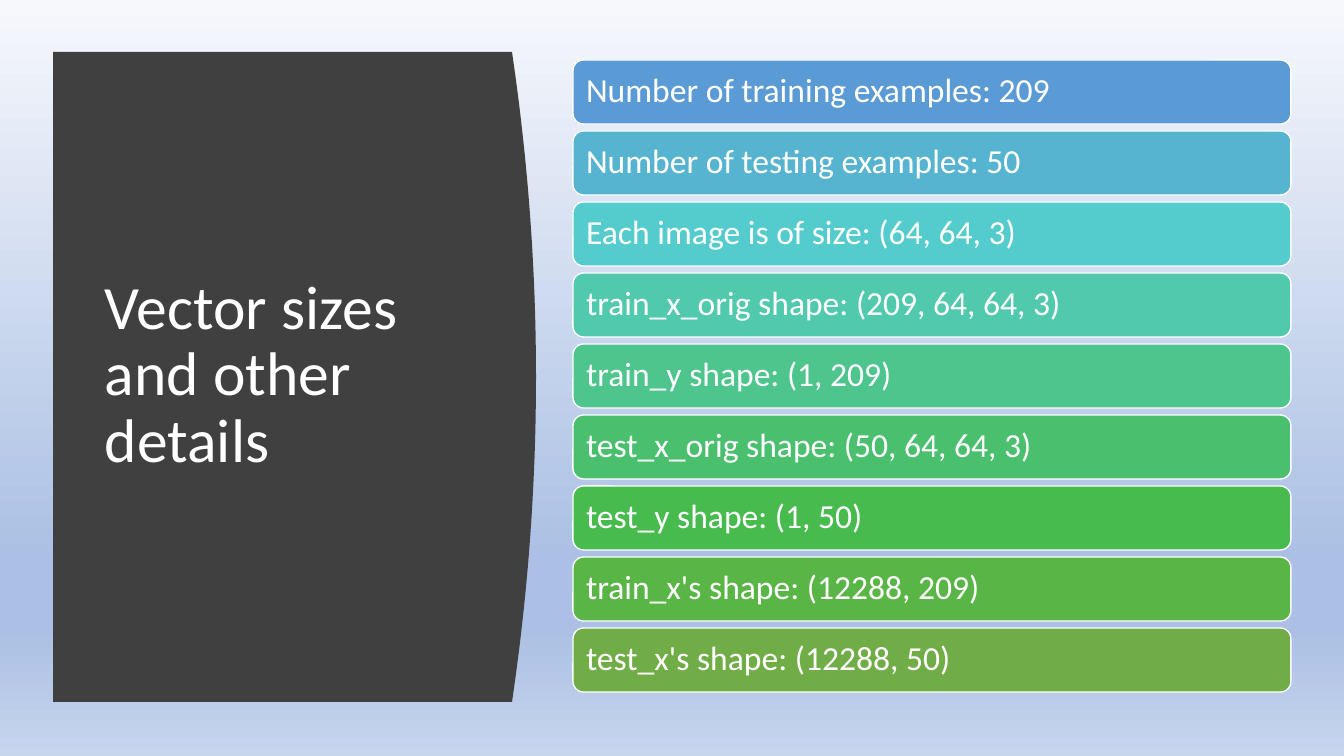
from lxml import etree
from pptx import Presentation
from pptx.dml.color import RGBColor
from pptx.enum.shapes import MSO_SHAPE
from pptx.enum.text import MSO_ANCHOR, PP_ALIGN
from pptx.oxml.ns import qn
from pptx.util import Pt

ROUND = MSO_SHAPE.ROUNDED_RECTANGLE
MIDDLE = MSO_ANCHOR.MIDDLE
LEFT = PP_ALIGN.LEFT

TITLE = "Vector sizes and other details"
ROWS = [
    ("Number of training examples: 209", "5B9BD5"),
    ("Number of testing examples: 50", "57B4D1"),
    ("Each image is of size: (64, 64, 3)", "54CCCD"),
    ("train_x_orig shape: (209, 64, 64, 3)", "51C9AD"),
    ("train_y shape: (1, 209)", "4DC58D"),
    ("test_x_orig shape: (50, 64, 64, 3)", "4AC06E"),
    ("test_y shape: (1, 50)", "48BB4F"),
    ("train_x's shape: (12288, 209)", "59B546"),
    ("test_x's shape: (12288, 50)", "70AD47"),
]
THEME = {
    "font": "Calibri",
    "title": 44,
    "row": 24,
    "text": "FFFFFF",
    "panel": "404040",
    "back": [(0, "F6F8FC"), (74, "ABC0E4"), (83, "ABC0E4"), (100, "C7D5ED")],
}
SCALE = 914400 / 100.8
PANEL = {"left": 53, "top": 52, "right": 512, "low": 702, "bulge": 24, "steps": 48}
TEXT = (95, 112, 377, 528)
LIST = {"left": 573, "top": 60, "wide": 718, "high": 64, "pitch": 71}


def px(n):
    return round(n * SCALE)


def color(name):
    return RGBColor.from_string(name)


def write(shape, text, size, side, edge):
    frame = shape.text_frame
    frame.word_wrap = True
    frame.vertical_anchor = MIDDLE
    frame.margin_left = frame.margin_right = px(side)
    frame.margin_top = frame.margin_bottom = px(edge)
    para = frame.paragraphs[0]
    para.text = text
    para.alignment = LEFT
    para.line_spacing = 0.9
    para.font.name = THEME["font"]
    para.font.size = Pt(size)
    para.font.color.rgb = color(THEME["text"])


def paint(shape, fill):
    shape.shadow.inherit = False
    shape.fill.solid()
    shape.fill.fore_color.rgb = color(fill)


def back(slide):
    fill = slide.background.fill
    fill.gradient()
    fill.gradient_angle = 270
    stops = next(slide.element.iter(qn("a:gsLst")))
    for stop in list(stops):
        stops.remove(stop)
    for pos, tone in THEME["back"]:
        stop = etree.SubElement(stops, qn("a:gs"), pos=str(pos * 1000))
        etree.SubElement(stop, qn("a:srgbClr"), val=tone)


def panel(slide):
    p = PANEL
    half = (p["low"] - p["top"]) / 2
    curve = []
    for i in range(p["steps"] + 1):
        t = 2 * i / p["steps"] - 1
        x = p["right"] + p["bulge"] * (1 - t * t)
        curve.append((px(x), px(p["top"] + half * (1 + t))))
    path = slide.shapes.build_freeform(px(p["left"]), px(p["top"]))
    path.add_line_segments(curve + [(px(p["left"]), px(p["low"]))], close=True)
    shape = path.convert_to_shape()
    paint(shape, THEME["panel"])
    shape.line.fill.background()


def main():
    deck = Presentation()
    deck.slide_width, deck.slide_height = px(1344), px(756)
    slide = deck.slides.add_slide(deck.slide_layouts[6])
    back(slide)
    panel(slide)
    title = slide.shapes.add_textbox(*map(px, TEXT))
    write(title, TITLE, THEME["title"], 10, 5)
    for i, (text, fill) in enumerate(ROWS):
        top = LIST["top"] + i * LIST["pitch"]
        box = (LIST["left"], top, LIST["wide"], LIST["high"])
        row = slide.shapes.add_shape(ROUND, *map(px, box))
        paint(row, fill)
        row.line.color.rgb = color(THEME["text"])
        row.line.width = Pt(1)
        write(row, text, THEME["row"], 10, 10)
    deck.save("out.pptx")


if __name__ == "__main__":
    main()
